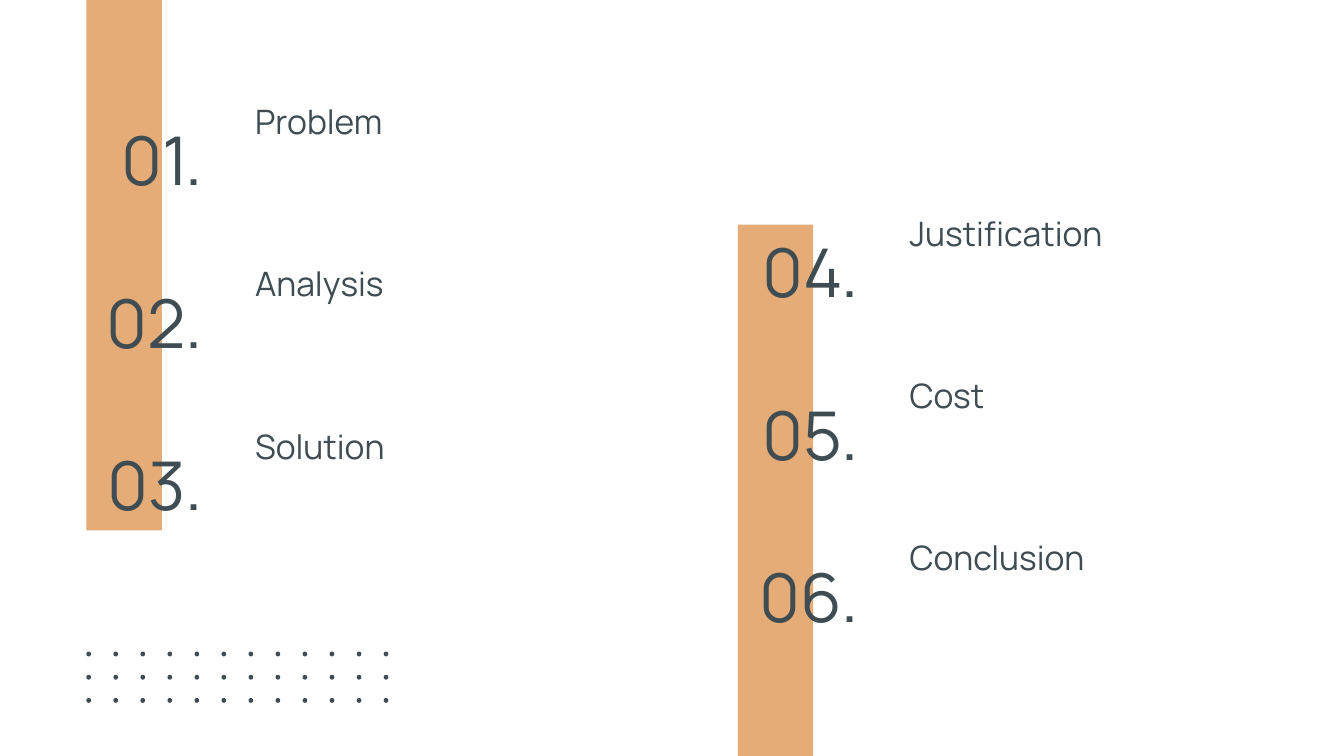
from pptx import Presentation
from pptx.dml.color import RGBColor
from pptx.enum.shapes import MSO_SHAPE
from pptx.enum.text import MSO_ANCHOR, PP_ALIGN
from pptx.util import Pt

SLATE = "3F4D53"
SAND = "E5AC77"
ROW_STEP = 87
COLUMNS = [
    (12.2, 129.6, 63.9, ["Problem", "Analysis", "Solution"]),
    (363.6, 480.2, 123.9, ["Justification", "Cost", "Conclusion"]),
]


def color(hex_string):
    """Turn a hex string into a colour."""
    return RGBColor.from_string(hex_string)


def add_solid(shapes, kind, left, top, width, height, fill):
    """Add a filled preset shape without outline or shadow."""
    solid = shapes.add_shape(kind, Pt(left), Pt(top), Pt(width), Pt(height))
    solid.shadow.inherit = False
    solid.fill.solid()
    solid.fill.fore_color.rgb = color(fill)
    solid.line.fill.background()


def add_text(slide, text, left, top, width, height, *, size,
             align=PP_ALIGN.LEFT, anchor=MSO_ANCHOR.MIDDLE):
    """Add one line of slate text in a box with even insets."""
    box = slide.shapes.add_textbox(Pt(left), Pt(top), Pt(width), Pt(height))
    frame = box.text_frame
    frame.word_wrap = True
    frame.vertical_anchor = anchor
    frame.margin_left = frame.margin_right = Pt(7.2)
    frame.margin_top = frame.margin_bottom = Pt(7.2)
    paragraph = frame.paragraphs[0]
    paragraph.alignment = align
    run = paragraph.add_run()
    run.text = text
    run.font.name = "Manrope"
    run.font.size = Pt(size)
    run.font.color.rgb = color(SLATE)


def add_section(slide, number, title, number_left, title_left, top):
    """Add a large section number and its title."""
    add_text(slide, f"{number:02d}.", number_left, top, 103.7, 42.5,
             size=36, align=PP_ALIGN.RIGHT)
    add_text(slide, title, title_left, top - 13.6, 221, 32.4,
             size=18, anchor=MSO_ANCHOR.BOTTOM)


def add_dot_grid(slide, left, top, columns, rows):
    """Add a group of evenly spaced small dots."""
    dots = slide.shapes.add_group_shape()
    for row in range(rows):
        for column in range(columns):
            add_solid(dots.shapes, MSO_SHAPE.OVAL, left + column * 14.48,
                      top + row * 12.42, 2.5, 2.6, SLATE)


def main():
    """Build the contents slide and save it."""
    deck = Presentation()
    deck.slide_width, deck.slide_height = Pt(720), Pt(405)
    slide = deck.slides.add_slide(deck.slide_layouts[6])

    add_solid(slide.shapes, MSO_SHAPE.RECTANGLE, 46.3, 0, 40.4, 284.2, SAND)
    add_solid(slide.shapes, MSO_SHAPE.RECTANGLE, 395.3, 120.4, 40.4, 292.3, SAND)

    number = 1
    for number_left, title_left, first_top, titles in COLUMNS:
        for row, title in enumerate(titles):
            add_section(slide, number, title, number_left, title_left,
                        first_top + row * ROW_STEP)
            number += 1

    add_dot_grid(slide, 46.3, 349.1, columns=12, rows=3)
    deck.save("out.pptx")


if __name__ == "__main__":
    main()
